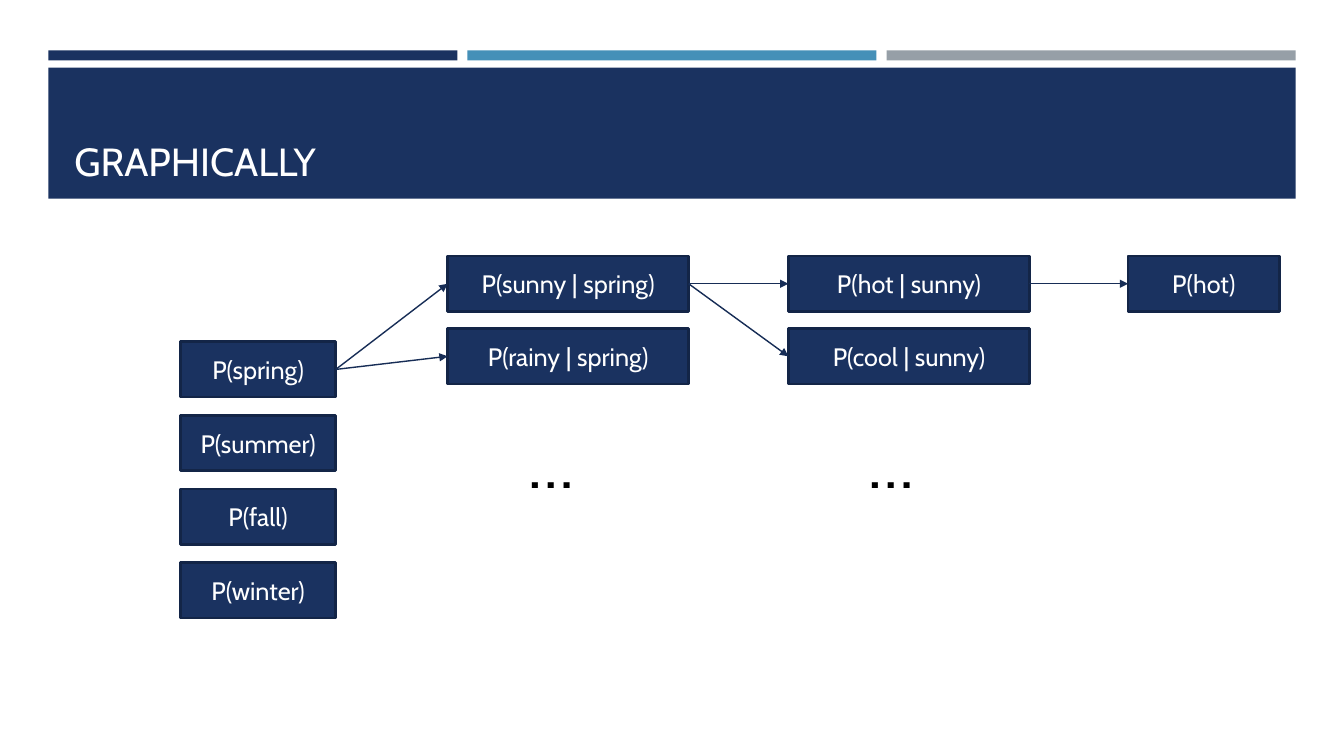
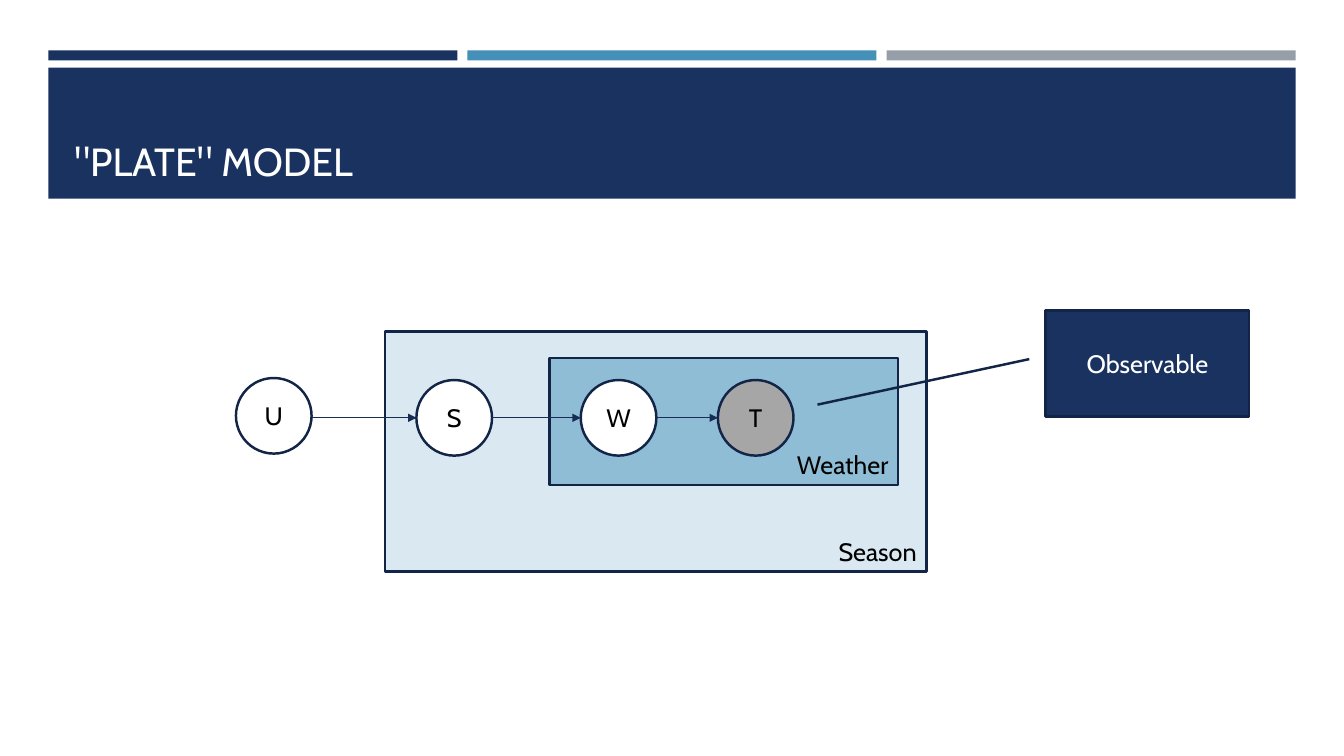
from collections import namedtuple

from lxml import etree
from pptx import Presentation
from pptx import util as u
from pptx.dml.color import RGBColor
from pptx.enum import shapes, text
from pptx.oxml import ns

NAVY = RGBColor(0x1A, 0x32, 0x60)
BLUE = RGBColor(0x45, 0x90, 0xB8)
GREY = RGBColor(0x96, 0x9F, 0xA7)
OUTLINE = RGBColor(0x13, 0x25, 0x47)
ARROW = RGBColor(0x17, 0x2D, 0x56)
PALE_BLUE = RGBColor(0xDA, 0xE9, 0xF1)
MID_BLUE = RGBColor(0x8F, 0xBD, 0xD5)
OBSERVED = RGBColor(0xA6, 0xA6, 0xA6)
WHITE = RGBColor(0xFF, 0xFF, 0xFF)
BLACK = RGBColor(0, 0, 0)

FONT = "Cabin"
BODY_SIZE = 18
SHAPE = shapes.MSO_SHAPE
ALIGN = text.PP_ALIGN
ANCHOR = text.MSO_ANCHOR

# All lengths are inches
Box = namedtuple("Box", "left top width height")
HEADER = Box(0.48, 0.5, 12.37, 1.47)
TREE = Box(1.79, 2.54, 10.9, 3.59)
PLATE = Box(2.34, 3.08, 10.05, 2.59)


def inches(box):
    return [u.Inches(length) for length in box]


def write(shape, wording, color, size, align, anchor):
    frame = shape.text_frame
    frame.word_wrap = True
    frame.vertical_anchor = anchor
    frame.text = wording
    paragraph = frame.paragraphs[0]
    paragraph.alignment = align
    font = paragraph.runs[0].font
    font.name, font.size, font.color.rgb = FONT, u.Pt(size), color


def add_text(slide, box, wording, color, size, anchor=ANCHOR.TOP):
    shape = slide.shapes.add_textbox(*inches(box))
    write(shape, wording, color, size, ALIGN.LEFT, anchor)


def add_block(slide, box, fill, kind=SHAPE.RECTANGLE):
    shape = slide.shapes.add_shape(kind, *inches(box))
    shape.shadow.inherit = False
    shape.fill.solid()
    shape.fill.fore_color.rgb = fill
    shape.line.fill.background()
    return shape


def add_node(slide, box, wording, fill=NAVY, color=WHITE, kind=SHAPE.RECTANGLE,
             align=ALIGN.CENTER, anchor=ANCHOR.MIDDLE):
    shape = add_block(slide, box, fill, kind)
    shape.line.color.rgb = OUTLINE
    shape.line.width = u.Pt(1.75)
    write(shape, wording, color, BODY_SIZE, align, anchor)
    return shape


def add_arrow(slide, start=(0, 0), end=(0, 0)):
    arrow = slide.shapes.add_connector(
        shapes.MSO_CONNECTOR.STRAIGHT, *inches(start), *inches(end))
    arrow.line.color.rgb = ARROW
    arrow.line.width = u.Pt(1)
    etree.SubElement(arrow.line._get_or_add_ln(), ns.qn("a:tailEnd"), type="triangle")
    etree.SubElement(arrow._element.spPr, ns.qn("a:effectLst"))
    return arrow


def join(slide, source, target):
    """Arrow from the right side of one rectangle to the left side of another."""
    arrow = add_arrow(slide)
    arrow.begin_connect(source, 3)
    arrow.end_connect(target, 1)


def add_header(slide, box, title):
    # Three thin bars over the title band
    gap = 0.1
    bar_width = (box.width - 2 * gap) / 3
    for column, color in enumerate((NAVY, BLUE, GREY)):
        left = box.left + column * (bar_width + gap)
        add_block(slide, Box(left, box.top, bar_width, 0.1), color)
    band = Box(box.left, box.top + 0.17, box.width, box.height - 0.17)
    add_block(slide, band, NAVY)
    title_box = Box(band.left + 0.16, band.top + 0.1, band.width - 0.31, band.height - 0.19)
    add_text(slide, title_box, title, WHITE, 28, ANCHOR.BOTTOM)


def add_column(slide, box, step, labels):
    """Equal nodes stacked downwards; box is the first of them."""
    return [add_node(slide, box._replace(top=box.top + row * step), label)
            for row, label in enumerate(labels)]


def add_tree(slide, box):
    height, wide = 0.55, 2.39
    weather_left, heat_left = box.left + 2.65, box.left + 6.03

    # Columns of probabilities
    seasons = add_column(slide, Box(box.left, box.top + 0.85, 1.54, height), 0.73,
                         ("P(spring)", "P(summer)", "P(fall)", "P(winter)"))
    weather = add_column(slide, Box(weather_left, box.top, wide, height), 0.72,
                         ("P(sunny | spring)", "P(rainy | spring)"))
    heat = add_column(slide, Box(heat_left, box.top, wide, height), 0.72,
                      ("P(hot | sunny)", "P(cool | sunny)"))
    result = add_node(slide, Box(box.left + box.width - 1.5, box.top, 1.5, height), "P(hot)")

    # Branches left out
    for left in (weather_left, heat_left):
        add_text(slide, Box(left + 0.7, box.top + 1.59, 0.99, 0.91), "…", BLACK, 48)

    # Arrows
    for source, targets in ((seasons[0], weather), (weather[0], heat), (heat[0], [result])):
        for target in targets:
            join(slide, source, target)


def add_plate_model(slide, box):
    # Nested plates
    for plate, label, fill in (
            (Box(box.left + 1.48, box.top + 0.21, 5.37, 2.38), "Season", PALE_BLUE),
            (Box(box.left + 3.11, box.top + 0.47, 3.46, 1.26), "Weather", MID_BLUE)):
        add_node(slide, plate, label, fill, BLACK, align=ALIGN.RIGHT, anchor=ANCHOR.BOTTOM)

    # Variables and the arrows between neighbours
    size, top = 0.75, box.top + 0.69
    variables = (("U", 0, -0.02, WHITE), ("S", 1.79, 0, WHITE),
                 ("W", 3.42, 0, WHITE), ("T", 4.78, 0, OBSERVED))
    for label, left, shift, fill in variables:
        circle = Box(box.left + left, top + shift, size, size)
        add_node(slide, circle, label, fill, BLACK, SHAPE.OVAL)
    middle = top + size / 2
    for source, target in zip(variables, variables[1:]):
        add_arrow(slide, (box.left + source[1] + size, middle),
                  (box.left + target[1], middle))

    # Callout pointing at the observed variable
    callout_width = 2.02
    callout = add_node(
        slide, Box(box.left + box.width - callout_width, box.top, callout_width, 1.05),
        "Observable", kind=SHAPE.LINE_CALLOUT_1)
    for index, share in enumerate((0.46, -0.08, 0.89, -1.12)):
        callout.adjustments[index] = share


def main():
    presentation = Presentation()
    presentation.slide_width = u.Inches(13.33)
    presentation.slide_height = u.Inches(7.5)
    for title, add_content, box in (("GRAPHICALLY", add_tree, TREE),
                                    ('"PLATE" MODEL', add_plate_model, PLATE)):
        slide = presentation.slides.add_slide(presentation.slide_layouts[6])
        add_header(slide, HEADER, title)
        add_content(slide, box)
    presentation.save("out.pptx")


if __name__ == "__main__":
    main()
